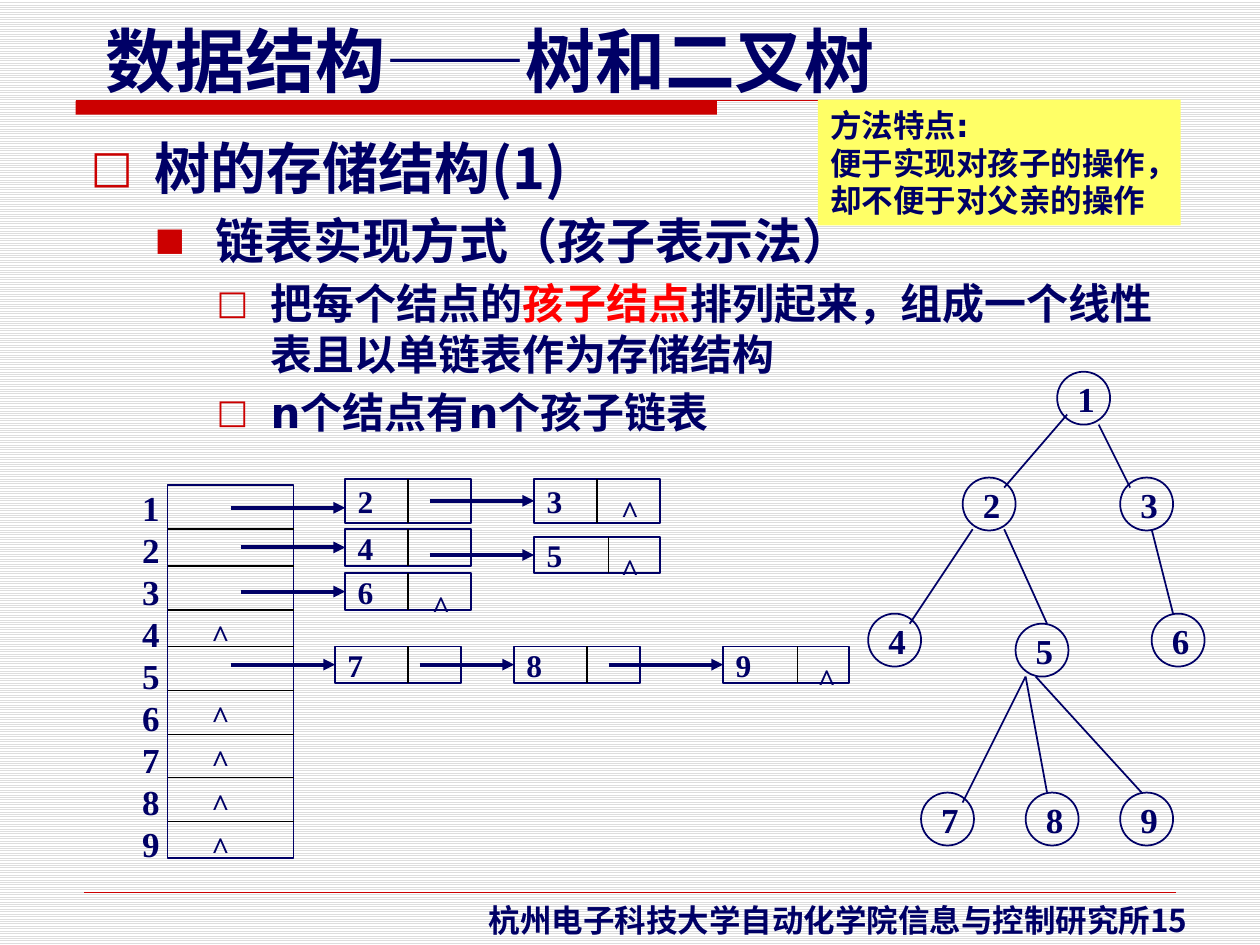
from lxml.etree import SubElement
from pptx import Presentation
from pptx.dml.color import RGBColor
from pptx.enum.dml import MSO_PATTERN
from pptx.enum.shapes import MSO_CONNECTOR, MSO_SHAPE
from pptx.enum.text import MSO_ANCHOR, PP_ALIGN
from pptx.oxml.ns import qn
from pptx.util import Inches, Pt

NAVY = RGBColor(0x00, 0x00, 0x66)
CRIMSON = RGBColor(0xCC, 0x00, 0x00)
RED = RGBColor(0xFF, 0x00, 0x00)
BLACK = RGBColor(0x00, 0x00, 0x00)
WHITE = RGBColor(0xFF, 0xFF, 0xFF)
STRIPE = RGBColor(0xDD, 0xDD, 0xDD)
YELLOW = RGBColor(0xFF, 0xFF, 0x66)

SANS, SERIF, CJK, ARIAL = "DejaVu Sans", "Times New Roman", "Noto Sans CJK SC", "Arial"
COLUMNS, ROWS = 100, 75
LINE_HEIGHT = 1.2

OUTLINE = [
    (0, 32, [("树的存储结构(1)", CJK, NAVY)]),
    (1, 28, [("链表实现方式（孩子表示法）", SERIF, NAVY)]),
    (2, 24, [("把每个结点的", SANS, NAVY), ("孩子结点", SANS, RED),
             ("排列起来，组成一个线性表且以单链表作为存储结构", SANS, NAVY)]),
    (2, 24, [("n个结点有n个孩子链表", SANS, NAVY)]),
]
BULLETS = [("□", 80, 0.51, -0.51), ("■", 65, 0.99, -0.48), ("□", 80, 1.43, -0.43)]

TREE_NODES = [(83.9, 29.5), (76.4, 37.9), (88.9, 37.9), (68.9, 48.7), (80.6, 49.5),
              (91.4, 48.7), (73.1, 62.9), (81.4, 62.9), (88.9, 62.9)]
TREE_EDGES = [
    (84.7, 32.9, 79.7, 38.7), (87.2, 33.7, 89.7, 38.7), (77.2, 42, 72.2, 49.5),
    (79.7, 42, 83.1, 49.5), (91.4, 42, 93.1, 48.7), (81.4, 53.7, 76.4, 63.7),
    (81.4, 53.7, 83.1, 62.9), (82.2, 53.7, 90.6, 62.9),
]
HEAD_DIVIDERS = [42, 44.9, 48.4, 51.3, 54.8, 58.3, 61.7, 65.2]
EMPTY_HEADS = [48.4, 54.8, 58.3, 61.8, 65.2]
# label, left, top, height, divider offset, arrow start, end mark offset
LIST_CELLS = [
    ("2", 27.4, 38, 3.5, 5, 18.3, None),
    ("3", 42.4, 38, 3.5, 5, 34.1, 5.9),
    ("4", 27.4, 42, 2.9, 5, 19.1, None),
    ("5", 42.4, 42.6, 2.9, 5.9, 34.1, 5.9),
    ("6", 27.4, 45.5, 2.9, 5, 19.1, 5.9),
    ("7", 26.6, 51.3, 2.9, 5.8, 18.3, None),
    ("8", 40.8, 51.3, 2.9, 5.8, 33.3, None),
    ("9", 57.4, 51.3, 2.9, 5.9, 48.3, 6.5),
]


class TreeSlide:
    """Draws styled elements on a slide measured in grid columns and rows."""

    def __init__(self, presentation):
        self.column = presentation.slide_width / COLUMNS
        self.row = presentation.slide_height / ROWS
        self.slide = presentation.slides.add_slide(presentation.slide_layouts[6])
        fill = self.slide.background.fill
        fill.patterned()
        fill.pattern = MSO_PATTERN.LIGHT_HORIZONTAL
        fill.fore_color.rgb, fill.back_color.rgb = STRIPE, WHITE

    def place(self, *lengths):
        units = (self.column, self.row) * 2
        return [round(length * unit) for length, unit in zip(lengths, units)]

    def add_runs(self, paragraph, size, runs):
        paragraph.line_spacing = Pt(size * LINE_HEIGHT)
        for words, name, color in runs:
            run = paragraph.add_run()
            run.text = words
            font = run.font
            font.name, font.size, font.bold = name, Pt(size), True
            font.color.rgb = color

    def bullet(self, paragraph, level):
        character, percent, margin, indent = BULLETS[level]
        paragraph.level = level
        properties = paragraph._p.get_or_add_pPr()
        properties.set("marL", str(Inches(margin)))
        properties.set("indent", str(Inches(indent)))
        color = SubElement(properties, qn("a:buClr"))
        SubElement(color, qn("a:srgbClr"), val=str(CRIMSON))
        SubElement(properties, qn("a:buSzPct"), val=str(percent * 1000))
        SubElement(properties, qn("a:buFont"), typeface=SANS)
        SubElement(properties, qn("a:buChar"), char=character)

    def paragraphs(self, frame, size, lines):
        frame.word_wrap = True
        for index, runs in enumerate(lines):
            paragraph = frame.add_paragraph() if index else frame.paragraphs[0]
            self.add_runs(paragraph, size, runs)

    def text(self, bounds, size, lines):
        box = self.slide.shapes.add_textbox(*self.place(*bounds))
        self.paragraphs(box.text_frame, size, lines)
        return box

    def outline(self, bounds, items):
        frame = self.slide.shapes.add_textbox(*self.place(*bounds)).text_frame
        frame.word_wrap = True
        for index, (level, size, runs) in enumerate(items):
            paragraph = frame.add_paragraph() if index else frame.paragraphs[0]
            self.bullet(paragraph, level)
            if index:
                paragraph.space_before = Pt(size * 0.2)
            self.add_runs(paragraph, size, runs)

    def shape(self, kind, bounds, fill=None, line=NAVY, label="", size=18, align=PP_ALIGN.LEFT):
        shape = self.slide.shapes.add_shape(kind, *self.place(*bounds))
        shape.shadow.inherit = False
        if fill is None:
            shape.fill.background()
        else:
            shape.fill.solid()
            shape.fill.fore_color.rgb = fill
        if line is None:
            shape.line.fill.background()
        else:
            shape.line.color.rgb, shape.line.width = line, Pt(1)
        if label:
            frame = shape.text_frame
            frame.vertical_anchor = MSO_ANCHOR.MIDDLE
            self.paragraphs(frame, size, [[(label, SERIF, NAVY)]])
            frame.paragraphs[0].alignment = align
        return shape

    def line(self, ends, color=NAVY, width=1):
        line = self.slide.shapes.add_connector(MSO_CONNECTOR.STRAIGHT, *self.place(*ends))
        line.line.color.rgb, line.line.width = color, Pt(width)
        SubElement(line._element.spPr, qn("a:effectLst"))
        return line

    def arrow(self, ends, target=None):
        arrow = self.line(ends, width=2.25)
        SubElement(arrow.get_or_add_ln(), qn("a:tailEnd"), type="triangle")
        if target is not None:
            arrow.end_connect(target, 1)

    def end_mark(self, left, top):
        self.text((left, top, 4, 4), 18, [[("^", SERIF, NAVY)]])

    def list_cell(self, label, left, top, height, divider, start, mark):
        box = self.shape(MSO_SHAPE.RECTANGLE, (left, top, 10, height), label=label)
        self.line((left + divider, top, left + divider, top + height), BLACK)
        if label == "2":
            self.arrow((start, 40.3, left, 40.3))
        else:
            middle = top + height / 2
            self.arrow((start, middle, left, middle), box)
        if mark is not None:
            self.end_mark(left + mark, top + 0.6)


def main():
    presentation = Presentation()
    presentation.slide_width, presentation.slide_height = Inches(10), Inches(7.5)
    page = TreeSlide(presentation)

    page.shape(MSO_SHAPE.RECTANGLE, (6, 8, 50.9, 1.1), fill=CRIMSON, line=None)
    page.line((6, 8, 93.1, 8), CRIMSON, 0.75)
    page.line((6.7, 70.8, 93.3, 70.8), CRIMSON, 0.25)
    page.text((7.4, 0.9, 65, 7.7), 40, [[
        ("数据结构", SANS, NAVY), ("——", ARIAL, NAVY), ("树和二叉树", SANS, NAVY)]])
    page.text((37.8, 71, 61.1, 4), 18, [[
        ("杭州电子科技大学自动化学院信息与控制研究所", SERIF, NAVY), ("15", CJK, NAVY)]])
    page.outline((6.2, 10.1, 87.5, 60.2), OUTLINE)

    for number, (left, top) in enumerate(TREE_NODES, 1):
        page.shape(MSO_SHAPE.OVAL, (left, top, 4.2, 4.2), label=str(number),
                   size=20, align=PP_ALIGN.CENTER)
    for edge in TREE_EDGES:
        page.line(edge)

    page.text((10.3, 38.1, 4, 34.3), 20, [[(str(n), SERIF, NAVY)] for n in range(1, 10)])
    page.shape(MSO_SHAPE.RECTANGLE, (13.3, 38.5, 10, 29.6))
    for top in HEAD_DIVIDERS:
        page.line((13.3, top, 23.3, top), BLACK)
    for top in EMPTY_HEADS:
        page.end_mark(15.8, top)
    for cell in LIST_CELLS:
        page.list_cell(*cell)

    note = page.text((64.9, 7.9, 28.8, 10), 18, [
        [("方法特点:", SANS, NAVY)],
        [("便于实现对孩子的操作，却不便于对父亲的操作", SANS, NAVY)]])
    note.fill.solid()
    note.fill.fore_color.rgb = YELLOW
    presentation.save("out.pptx")


if __name__ == "__main__":
    main()
